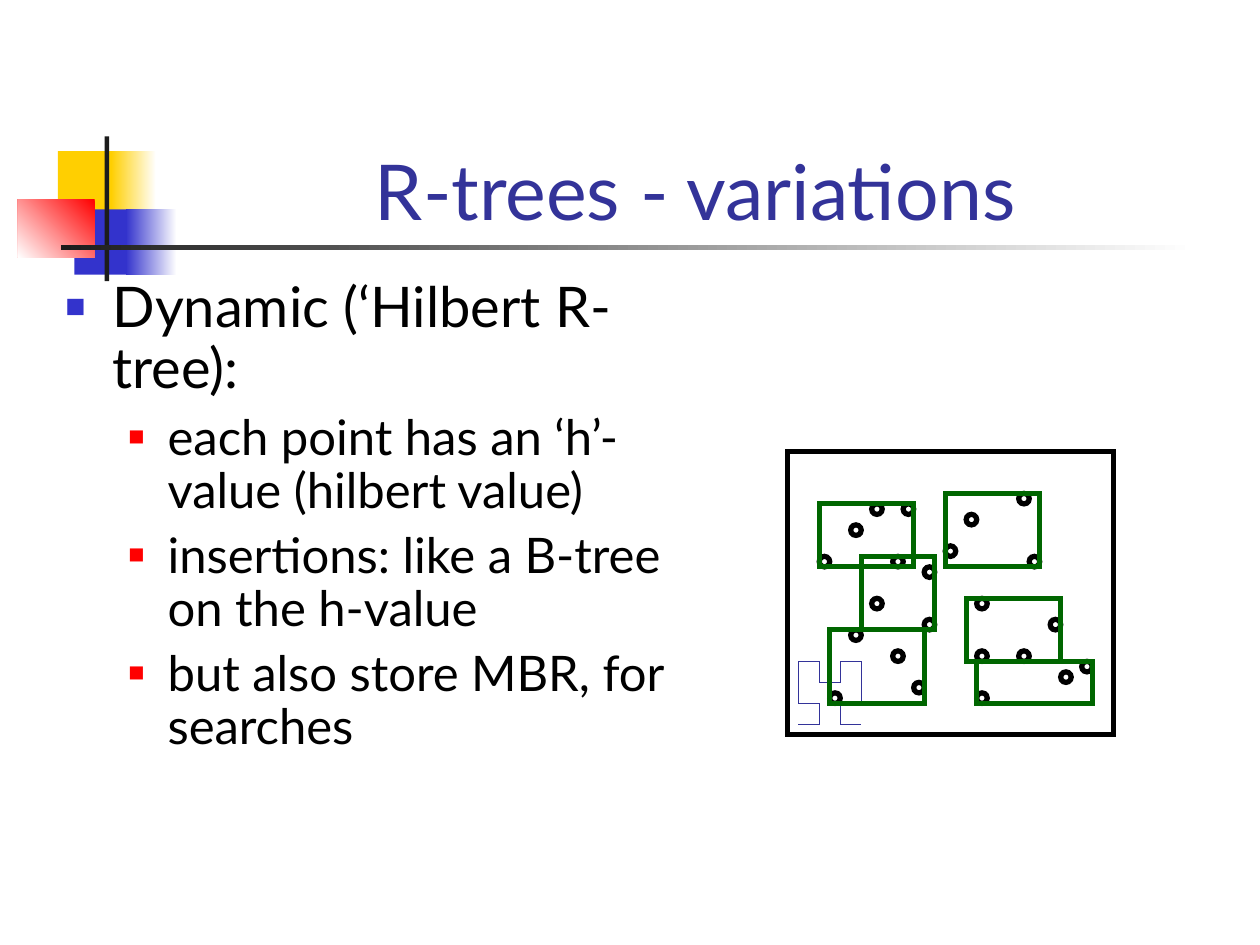
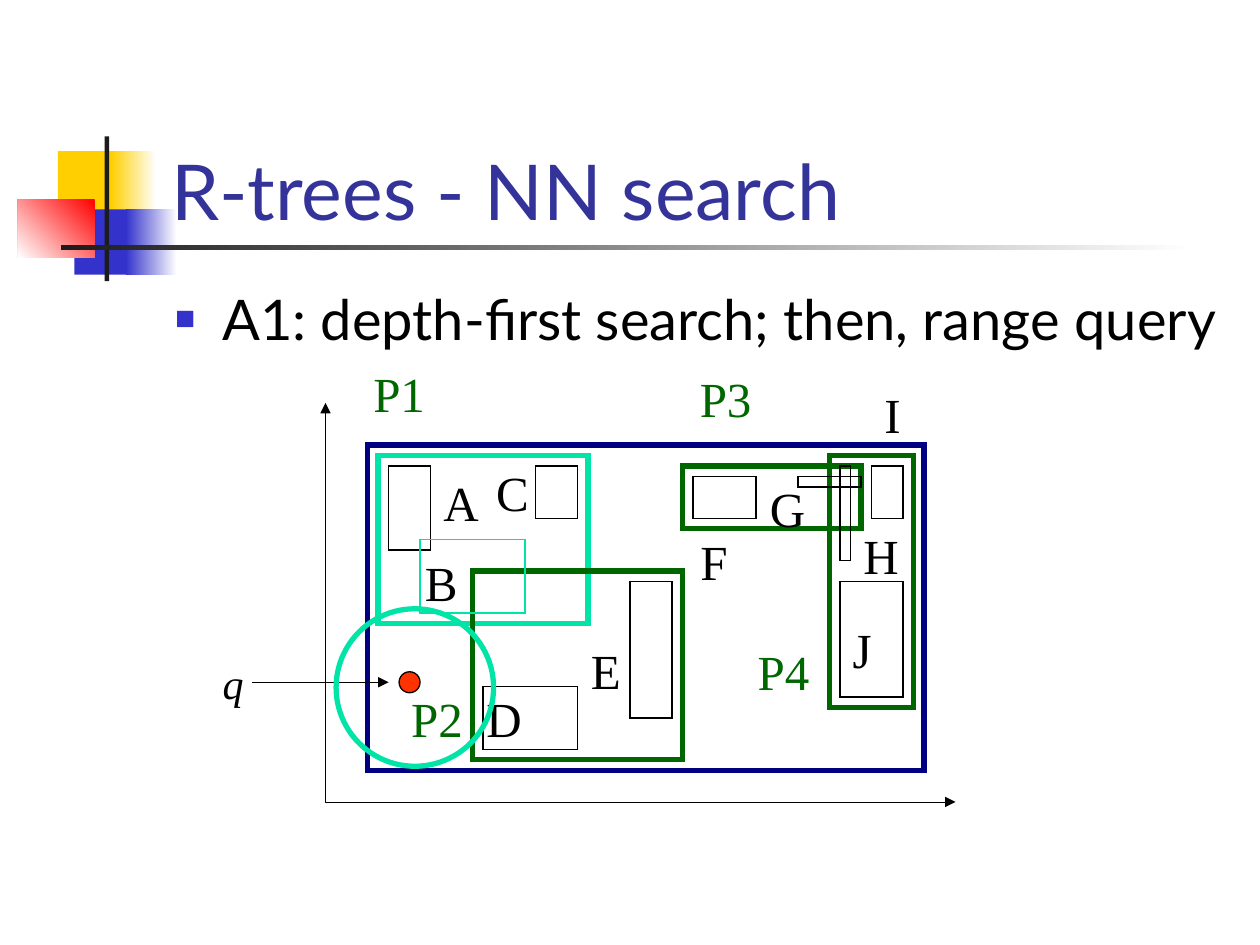
import dataclasses
import pptx
import pptx.dml.color
import pptx.enum.shapes
import pptx.enum.text
import pptx.oxml
import pptx.oxml.ns
import pptx.util
from lxml import etree

Cm = pptx.util.Cm
Pt = pptx.util.Pt
RECT = pptx.enum.shapes.MSO_SHAPE.RECTANGLE
OVAL = pptx.enum.shapes.MSO_SHAPE.OVAL
ALIGN = pptx.enum.text.PP_ALIGN
ANCHOR = pptx.enum.text.MSO_ANCHOR


@dataclasses.dataclass(frozen=True)
class Theme:
    white: str = "FFFFFF"
    black: str = "000000"
    ink: str = "1C1C1C"
    yellow: str = "FFCF01"
    blue: str = "3333CC"
    red: str = "FF0000"
    title: str = "333399"
    green: str = "006600"
    teal: str = "00E4A8"
    navy: str = "000080"
    query: str = "FF3300"
    sans: str = "Lato"
    serif: str = "Times New Roman"
    title_size: int = 44
    body_size: int = 32
    sub_size: int = 28
    label_size: int = 28
    query_size: int = 24
    thick: float = 3
    thin: float = 0.74
    hair: float = 0.26


T = Theme()


@dataclasses.dataclass(frozen=True)
class Box:
    x: float
    y: float
    unit: float = 1

    def pos(self, x, y):
        return Cm(self.x + x * self.unit), Cm(self.y + y * self.unit)

    def at(self, x, y, w, h):
        return *self.pos(x, y), Cm(w * self.unit), Cm(h * self.unit)


GRID = 2.54 / 12


def rgb(color):
    return pptx.dml.color.RGBColor.from_string(color)


def set_line(sp, color, width):
    sp.line.color.rgb = rgb(color)
    sp.line.width = Pt(width)
    ln = sp.line._get_or_add_ln()
    etree.SubElement(ln, pptx.oxml.ns.qn("a:miter"), lim="800000")


def add_arrowheads(sp, *ends):
    ln = sp.line._get_or_add_ln()
    for end in ends:
        etree.SubElement(ln, pptx.oxml.ns.qn(f"a:{end}"), type="triangle")


def add_shape(s, kind, at, fill=None, line=None, width=T.thick, fade=None, angle=180):
    sp = s.shapes.add_shape(kind, *at)
    sp.shadow.inherit = False
    if fade:
        sp.fill.gradient()
        sp.fill.gradient_angle = angle
        for stop, color in zip(sp.fill.gradient_stops, fade):
            stop.color.rgb = rgb(color)
    elif fill:
        sp.fill.solid()
        sp.fill.fore_color.rgb = rgb(fill)
    else:
        sp.fill.background()
    if line:
        set_line(sp, line, width)
    else:
        sp.line.fill.background()
    return sp


def add_path(s, points, color, width):
    builder = s.shapes.build_freeform(*points[0])
    builder.add_line_segments(points[1:], close=False)
    sp = builder.convert_to_shape()
    sp.shadow.inherit = False
    sp.fill.background()
    set_line(sp, color, width)
    return sp


def add_text(tf, text, size, color=T.black, font=T.sans, align=ALIGN.LEFT,
             italic=False, first=True, before=0, spacing=None):
    p = tf.paragraphs[0] if first else tf.add_paragraph()
    p.alignment = align
    p.space_before = Pt(before)
    if spacing:
        p.line_spacing = spacing
    r = p.add_run()
    r.text = text
    r.font.size = Pt(size)
    r.font.name = font
    r.font.italic = italic
    r.font.color.rgb = rgb(color)
    return p


def add_textbox(s, at, anchor=ANCHOR.TOP, wrap=True):
    tf = s.shapes.add_textbox(*at).text_frame
    tf.word_wrap = wrap
    tf.vertical_anchor = anchor
    return tf


def add_bullet(p, color, percent, margin, hang):
    pPr = p._p.get_or_add_pPr()
    pPr.set("marL", str(Cm(margin)))
    pPr.set("indent", str(-Cm(hang)))
    ns = pptx.oxml.ns.nsdecls("a")
    for xml in (f'<a:buClr {ns}><a:srgbClr val="{color}"/></a:buClr>',
                f'<a:buSzPct {ns} val="{percent * 1000}"/>',
                f'<a:buFont {ns} typeface="{T.serif}"/>',
                f'<a:buChar {ns} char="\u25a0"/>'):
        pPr.append(pptx.oxml.parse_xml(xml))


def draw_band(s, box):
    for color, y, x, w, fade_x, fade_w in (
            (T.yellow, 0.3, 0.81, 1.22, 1.88, 0.91),
            (T.blue, 1.47, 1.14, 1.17, 2.18, 1.02)):
        add_shape(s, RECT, box.at(x, y, w, 1.32), fill=color)
        add_shape(s, RECT, box.at(fade_x, y, fade_w, 1.32), fade=(T.white, color))
    add_shape(s, RECT, box.at(0, 1.27, 1.55, 1.17), fade=(T.red, T.white), angle=225)
    add_shape(s, RECT, box.at(1.75, 0, 0.09, 2.92), fill=T.ink)
    add_shape(s, RECT, box.at(0.87, 2.19, 22.86, 0.1), fade=(T.white, T.ink))


def add_slide(prs, title, align=ALIGN.LEFT):
    s = prs.slides.add_slide(prs.slide_layouts[6])
    draw_band(s, Box(0.36, 2.75))
    tf = add_textbox(s, Box(3.2, 1.7).at(0, 0, 21.64, 3.18), ANCHOR.BOTTOM)
    add_text(tf, title, T.title_size, T.title, align=align)
    return s


def draw_body(s, at, heading, items=(), spacing=None):
    tf = add_textbox(s, at)
    p = add_text(tf, heading, T.body_size, before=8, spacing=spacing)
    add_bullet(p, T.blue, 60, 0.95, 0.95)
    for item in items:
        p = add_text(tf, item, T.sub_size, first=False, before=7, spacing=spacing)
        add_bullet(p, T.red, 55, 2.06, 0.79)


def hilbert(order):
    if order == 0:
        return [(0, 0)]
    n = 2 ** (order - 1)
    part = hilbert(order - 1)
    return ([(y, x) for x, y in part]
            + [(x, y + n) for x, y in part]
            + [(x + n, y + n) for x, y in part]
            + [(2 * n - 1 - y, n - 1 - x) for x, y in part])


POINTS = (
    (4, 23), (3, 10), (12, 22), (11, 5), (10, 19), (6, 17), (8, 5), (13, 11),
    (15, 9), (23, 10), (22, 4), (18, 14), (22, 19), (25, 16), (26, 21), (6, 7),
    (10, 10), (8, 14), (17, 6), (13, 16), (18, 19), (18, 23), (28, 20))
MBRS = ((4, 17, 9, 7), (7, 10, 7, 7), (3, 5, 9, 6),
        (15, 4, 9, 7), (17, 14, 9, 6), (18, 20, 11, 4))


def draw_hilbert_tree(s, box):
    add_shape(s, RECT, box.at(0, 0, 31, 27), line=T.black)
    for x, y in POINTS:
        add_shape(s, OVAL, box.at(x, y, 1, 1), line=T.black)
    curve = [box.pos(1 + 2 * x, 26 - 2 * y) for x, y in hilbert(2)]
    add_path(s, curve, T.title, T.hair)
    for mbr in MBRS:
        add_shape(s, RECT, box.at(*mbr), line=T.green)


NODES = (((1, 1, 20, 16), T.teal), ((44, 1, 8, 24), T.green),
         ((10, 12, 20, 18), T.green), ((30, 2, 17, 6), T.green))
OBJECTS = ((2, 2, 4, 8), (16, 2, 4, 5), (11, 23, 9, 6), (25, 13, 4, 13),
           (31, 3, 6, 4), (45, 13, 6, 11), (48, 2, 3, 5), (41, 3, 6, 1),
           (45, 2, 1, 9))
OBJECT_LABELS = {
    "A": (8.9, 5.4), "B": (7, 13), "C": (13.8, 4.5), "D": (13, 26),
    "E": (22.7, 21.4), "F": (33, 11), "G": (40, 6), "H": (48.9, 10.5),
    "I": (50, -3), "J": (47.1, 19.4)}
NODE_LABELS = {"P1": (3, -5), "P2": (6.6, 26), "P3": (34.1, -4.5),
               "P4": (39.6, 21.5)}


def draw_label(s, box, text, center, size=T.label_size, color=T.black, italic=False):
    x, y = center
    w, h = 9, 7
    tf = add_textbox(s, box.at(x - w / 2, y - h / 2, w, h), ANCHOR.MIDDLE, wrap=False)
    add_text(tf, text, size, color, T.serif, ALIGN.CENTER, italic)


def draw_query(s, box):
    add_shape(s, OVAL, box.at(3, 21.6, 2, 2), fill=T.query, line=T.black, width=T.thin)
    arrow = s.shapes.add_connector(pptx.enum.shapes.MSO_CONNECTOR.STRAIGHT,
                                   *box.pos(-11, 22.6), *box.pos(2, 22.6))
    set_line(arrow, T.black, T.thin)
    add_arrowheads(arrow, "tailEnd")
    etree.SubElement(arrow._element.spPr, pptx.oxml.ns.qn("a:effectLst"))
    draw_label(s, box, "q", (-12.8, 22.6), T.query_size, italic=True)
    add_shape(s, OVAL, box.at(-3, 15.6, 15, 15), line=T.teal)


def draw_nn_search(s, box):
    for node, color in NODES:
        add_shape(s, RECT, box.at(*node), line=color)
    for rect in OBJECTS:
        add_shape(s, RECT, box.at(*rect), line=T.black, width=T.thin)
    add_shape(s, RECT, box.at(5, 9, 10, 7), line=T.teal, width=T.thin)
    add_shape(s, RECT, box.at(0, 0, 53, 31), line=T.navy)
    axes = add_path(s, [box.pos(-4, -4), box.pos(-4, 34), box.pos(56, 34)],
                    T.black, T.hair)
    add_arrowheads(axes, "headEnd", "tailEnd")
    for labels, color in ((OBJECT_LABELS, T.black), (NODE_LABELS, T.green)):
        for text, center in labels.items():
            draw_label(s, box, text, center, color=color)
    draw_query(s, box)


prs = pptx.Presentation()
prs.slide_width, prs.slide_height = Cm(25.4), Cm(19.05)

s = add_slide(prs, "R-trees - variations", ALIGN.CENTER)
draw_body(s, Box(1.07, 5.51).at(0, 0, 12.7, 11.43), "Dynamic (‘Hilbert R-tree):",
          ("each point has an ‘h’-value (hilbert value)",
           "insertions: like a B-tree on the h-value",
           "but also store MBR, for searches"), spacing=0.9)
draw_hilbert_tree(s, Box(15.88, 9.1, GRID))

s = add_slide(prs, "R-trees - NN search")
draw_body(s, Box(3.28, 5.61).at(0, 0, 21.59, 11.43),
          "A1: depth-first search; then, range query")
draw_nn_search(s, Box(7.41, 8.97, GRID))

prs.save("out.pptx")
